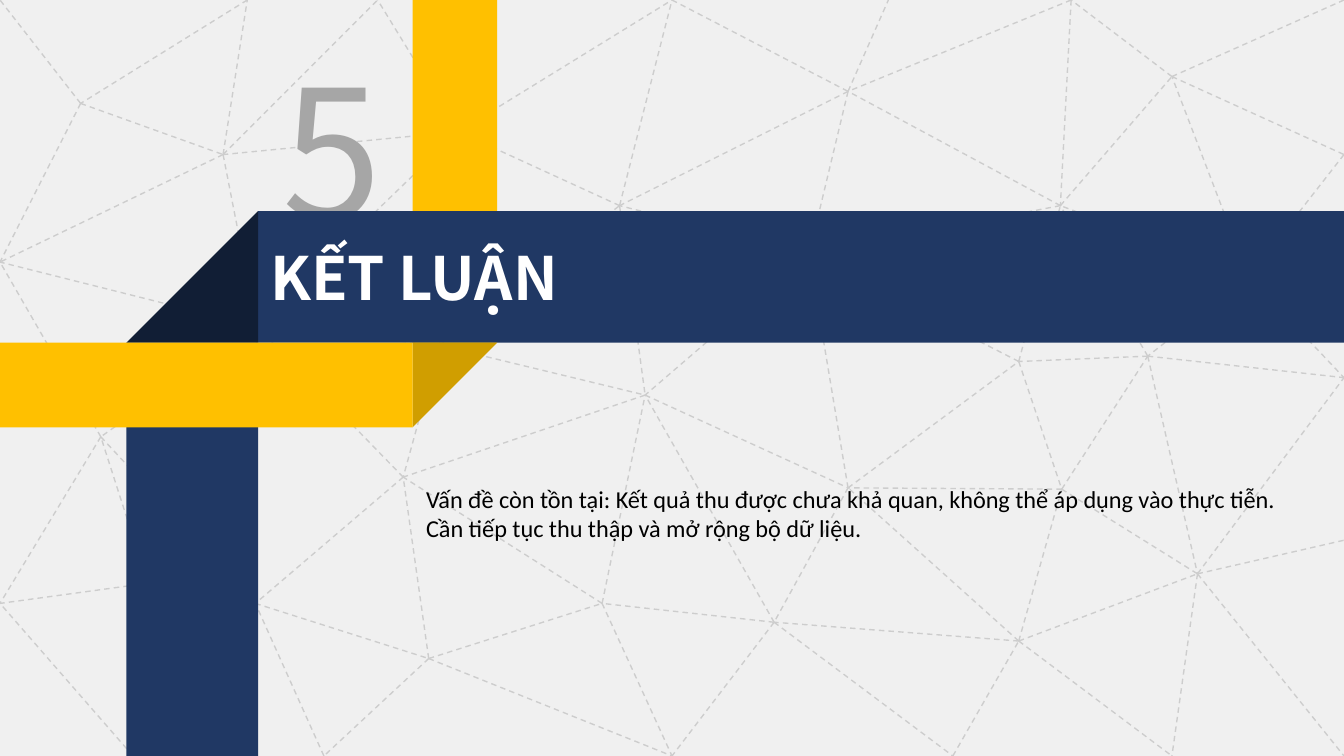
from collections import namedtuple

from lxml.etree import SubElement
from pptx import Presentation
from pptx.dml.color import RGBColor
from pptx.enum.dml import MSO_LINE
from pptx.enum.shapes import MSO_CONNECTOR, MSO_SHAPE
from pptx.enum.text import MSO_ANCHOR, MSO_AUTO_SIZE, PP_ALIGN
from pptx.oxml.ns import qn
from pptx.util import Inches, Pt

PAPER = RGBColor(0xF0, 0xF0, 0xF0)
MESH_GREY = RGBColor(0xCD, 0xCD, 0xCD)
NUMBER_GREY = RGBColor(0xA6, 0xA6, 0xA6)
GOLD = RGBColor(0xFF, 0xC0, 0x00)
DARK_GOLD = RGBColor(0xD0, 0x9E, 0x00)
NAVY = RGBColor(0x20, 0x38, 0x64)
DARK_NAVY = RGBColor(0x11, 0x1E, 0x35)
WHITE = RGBColor(0xFF, 0xFF, 0xFF)
BLACK = RGBColor(0x00, 0x00, 0x00)

DISPLAY_FONT = "Noto Sans CJK SC"
BODY_FONT = "Calibri"
SECTION_HEADER_LAYOUT = 2

WIDTH = 10
HEIGHT = WIDTH * 9 / 16
NAVY_BAND = 0.98
GOLD_BAND = 0.63

Box = namedtuple("Box", "left top width height")

# Mesh corners, as inches from the top left of the mesh.
NODES = {
    "A": (0, 0), "B": (1.84, 0), "C": (2.81, 0), "D": (5, 0),
    "E": (6.61, 0), "F": (7.97, 0), "G": (10, 0),
    "H": (0.6, 0.77), "I": (1.66, 1.15), "J": (3.41, 0.98),
    "K": (6.31, 0.68), "L": (8.72, 0.57), "M": (10, 1.15),
    "N": (0, 1.95), "O": (1.91, 2.43), "P": (3.27, 2.57), "Q": (4.61, 1.53),
    "R": (6.02, 1.89), "S": (7.89, 1.53), "T": (9.29, 2.06),
    "U": (0.75, 3.25), "V": (3, 3.55), "W": (4.8, 2.94), "X": (6.31, 3.63),
    "Y": (7.58, 2.69), "Z": (8.54, 2.65), "a": (10, 2.81),
    "b": (0, 4.49), "c": (1.1, 4.34), "d": (1.9, 4.49), "e": (3.19, 4.9),
    "f": (4.48, 4.49), "g": (5.76, 4.63), "h": (7.58, 4.77),
    "i": (7.9, 3.64), "j": (8.91, 4.27), "k": (10, 4.02),
    "l": (0.99, HEIGHT), "m": (2.41, HEIGHT), "n": (5, HEIGHT),
    "o": (7.09, HEIGHT), "p": (8.72, HEIGHT), "q": (10, HEIGHT),
}
# Each pair of letters joins two corners.
EDGES = (
    "IB IN IC JI IO OJ ON OP PV VO Vd dO OU Ud UN Ub cb dl lb de eV em md ef "
    "en fn fV fW WV PW PJ PQ QW QJ JC JD QD DK KQ KR RQ RW WX XR Xg gf gn KE "
    "SK SR XY YS Yi iX hX go oh hg hi hp ZS SL LF LG LM MT TL TS TZ Ta ij ja "
    "jq jp YR iZ Za ZY Zj FS gW cU cd cl hj jk BH HI HN HA FK"
).split()


def inches(box):
    return [Inches(length) for length in box]


def add_block(page, box, colour, kind=MSO_SHAPE.RECTANGLE, rotation=0):
    block = page.shapes.add_shape(kind, *inches(box))
    block.shadow.inherit = False
    block.fill.solid()
    block.fill.fore_color.rgb = colour
    block.line.fill.background()
    block.rotation = rotation


def write(shape, text, font_name, size, colour, bold=False, wrap=True):
    frame = shape.text_frame
    frame.text = text
    frame.word_wrap = wrap
    frame.auto_size = MSO_AUTO_SIZE.NONE
    frame.vertical_anchor = MSO_ANCHOR.TOP
    para = frame.paragraphs[0]
    para.alignment = PP_ALIGN.LEFT
    para.space_before = Pt(0)
    para.font.name = font_name
    para.font.size = Pt(size)
    para.font.bold = bold
    para.font.color.rgb = colour


def place_on_top(placeholder, box):
    placeholder.left, placeholder.top, placeholder.width, placeholder.height = inches(box)
    placeholder.element.getparent().append(placeholder.element)


def add_mesh(page, box):
    mesh = page.shapes.add_group_shape()
    for start, end in EDGES:
        ends = [
            Inches(origin + offset)
            for node in (start, end)
            for origin, offset in zip((box.left, box.top), NODES[node])
        ]
        edge = mesh.shapes.add_connector(MSO_CONNECTOR.STRAIGHT, *ends)
        edge.line.color.rgb = MESH_GREY
        edge.line.width = Pt(0.75)
        edge.line.dash_style = MSO_LINE.DASH
        SubElement(edge.element.spPr, qn("a:effectLst"))


def add_section_number(page, box, number):
    label = page.shapes.add_textbox(*inches(box))
    write(label, number, DISPLAY_FONT, 96, NUMBER_GREY, wrap=False)


def add_title_ribbon(page, box, title):
    """Navy banner with its fold at the left end and the title on it."""
    fold = Box(box.left, box.top, box.height, box.height)
    banner_left = box.left + box.height
    add_block(page, Box(banner_left, box.top, box.width - box.height, box.height), NAVY)
    add_block(page, fold, DARK_NAVY, MSO_SHAPE.RIGHT_TRIANGLE, 270)
    place_on_top(page.shapes.title, Box(banner_left - 0.01, box.top + 0.17, 2.49, 0.64))
    write(page.shapes.title, title, DISPLAY_FONT, 32, WHITE, bold=True, wrap=False)


def add_gold_ribbon(page, box):
    """Gold bar with its fold at the right end."""
    bar_width = box.width - box.height
    fold = Box(box.left + bar_width, box.top, box.height, box.height)
    add_block(page, fold, DARK_GOLD, MSO_SHAPE.RIGHT_TRIANGLE, 90)
    add_block(page, Box(box.left, box.top, bar_width, box.height), GOLD)


def add_conclusion(page, box, text):
    body = page.placeholders[1]
    place_on_top(body, box)
    write(body, text, BODY_FONT, 13, BLACK)


def build_section_page(deck):
    page = deck.slides.add_slide(deck.slide_layouts[SECTION_HEADER_LAYOUT])
    page.background.fill.solid()
    page.background.fill.fore_color.rgb = PAPER

    post_left, stripe_left, crossing = 0.94, 3.07, 2.55
    add_mesh(page, Box(0, 0, WIDTH, HEIGHT))
    add_block(page, Box(stripe_left, 0, GOLD_BAND, crossing), GOLD)
    add_section_number(page, Box(2, 0.25, 0.98, 1.72), "5")
    add_block(page, Box(post_left, crossing, NAVY_BAND, HEIGHT - crossing), NAVY)
    add_title_ribbon(
        page,
        Box(post_left, crossing - NAVY_BAND, WIDTH - post_left, NAVY_BAND),
        "KẾT LUẬN",
    )
    add_gold_ribbon(page, Box(0, crossing, stripe_left + GOLD_BAND, GOLD_BAND))
    add_conclusion(
        page,
        Box(stripe_left, 3.55, 6.63, 0.54),
        "Vấn đề còn tồn tại: Kết quả thu được chưa khả quan, không thể áp dụng "
        "vào thực tiễn. Cần tiếp tục thu thập và mở rộng bộ dữ liệu.",
    )


def main():
    deck = Presentation()
    deck.slide_width, deck.slide_height = Inches(WIDTH), Inches(HEIGHT)
    build_section_page(deck)
    deck.save("out.pptx")


if __name__ == "__main__":
    main()
